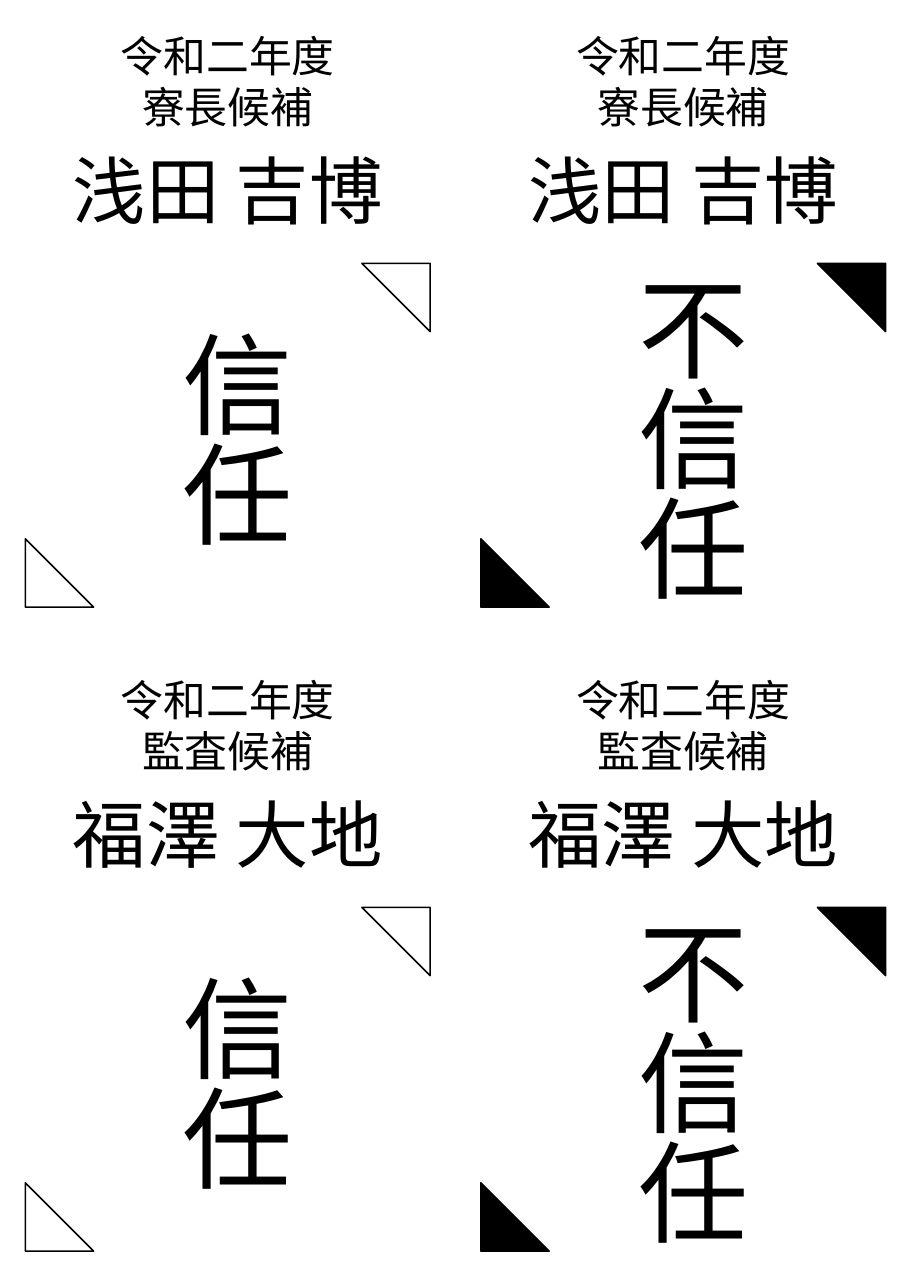
"""Build a page of four ballot cards: confidence and no confidence for two candidates."""
import pptx
import pptx.dml.color
import pptx.enum.shapes
import pptx.enum.text
import pptx.oxml.ns
import pptx.util
from dataclasses import dataclass
from lxml import etree

Inches = pptx.util.Inches

CANDIDATES = [
    {"heading": ["令和二年度", "寮長候補"], "name": "浅田 吉博", "name_width": 3.05},
    {"heading": ["令和二年度", "監査候補"], "name": "福澤 大地", "name_width": 3.07},
]
VOTES = [
    {"word": "信任", "height": 2.12, "filled": False},
    {"word": "不信任", "height": 3.13, "filled": True},
]


@dataclass(frozen=True)
class Theme:
    font: str = "Noto Sans CJK JP"
    ink: pptx.dml.color.RGBColor = pptx.dml.color.RGBColor(0, 0, 0)
    heading: int = 28
    name: int = 48
    vote: int = 72
    line: int = 1


THEME = Theme()
PAGE_W, PAGE_H = 8.27, 11.69
CARD_W, CARD_H = PAGE_W / 2, PAGE_H / 2
HEADING_TOP, NAME_TOP, VOTE_MIDDLE = 0.22, 1.27, 3.95
CORNER, CORNER_INSET, CORNER_TOP, CORNER_BOTTOM = 0.62, 0.23, 2.39, 5.51


def add_text(slide, lines, center, top, width, height, size, vertical=False):
    sp = slide.shapes.add_textbox(
        Inches(center - width / 2), Inches(top), Inches(width), Inches(height))
    tf = sp.text_frame
    tf.word_wrap = False
    tf.auto_size = pptx.enum.text.MSO_AUTO_SIZE.SHAPE_TO_FIT_TEXT
    if vertical:
        tf._txBody.bodyPr.set("vert", "eaVert")
    for i, line in enumerate(lines):
        p = tf.add_paragraph() if i else tf.paragraphs[0]
        p.alignment = pptx.enum.text.PP_ALIGN.CENTER
        r = p.add_run()
        r.text = line
        r.font.size = pptx.util.Pt(size)
        r.font.color.rgb = THEME.ink
        r.font.name = THEME.font
        ea = etree.SubElement(r._r.get_or_add_rPr(), pptx.oxml.ns.qn("a:ea"))
        ea.set("typeface", THEME.font)


def add_corner(slide, left, top, rotation, filled):
    sp = slide.shapes.add_shape(
        pptx.enum.shapes.MSO_SHAPE.RIGHT_TRIANGLE,
        Inches(left), Inches(top), Inches(CORNER), Inches(CORNER))
    sp.rotation = rotation
    sp.shadow.inherit = False
    if filled:
        sp.fill.solid()
        sp.fill.fore_color.rgb = THEME.ink
    else:
        sp.fill.background()
    sp.line.color.rgb = THEME.ink
    sp.line.width = pptx.util.Pt(THEME.line)


def add_card(slide, candidate, vote, left, top):
    center = left + CARD_W / 2
    add_text(slide, candidate["heading"], center, top + HEADING_TOP, 2.17, 1.04, THEME.heading)
    add_text(slide, [candidate["name"]], center, top + NAME_TOP,
             candidate["name_width"], 0.91, THEME.name)
    add_text(slide, [vote["word"]], center, top + VOTE_MIDDLE - vote["height"] / 2,
             1.41, vote["height"], THEME.vote, vertical=True)
    add_corner(slide, left + CORNER_INSET, top + CORNER_BOTTOM - CORNER, 0, vote["filled"])
    add_corner(slide, left + CARD_W - CORNER_INSET - CORNER, top + CORNER_TOP,
               180, vote["filled"])


prs = pptx.Presentation()
prs.slide_width, prs.slide_height = Inches(PAGE_W), Inches(PAGE_H)
slide = prs.slides.add_slide(prs.slide_layouts[6])
for row, candidate in enumerate(CANDIDATES):
    for col, vote in enumerate(VOTES):
        add_card(slide, candidate, vote, col * CARD_W, row * CARD_H)
prs.save("out.pptx")
